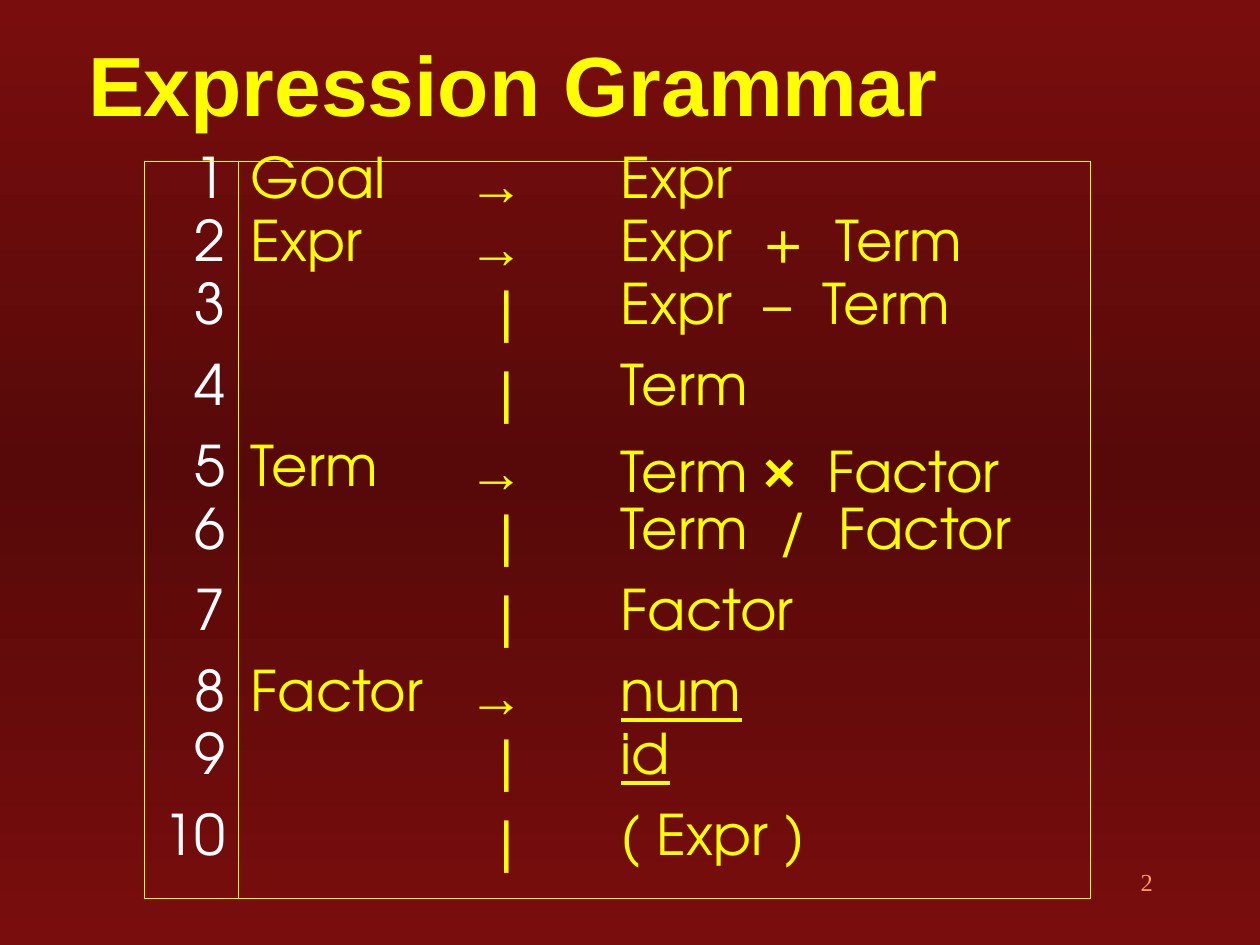
import copy
from dataclasses import dataclass

import pptx
import pptx.oxml.ns
import pptx.util
from lxml import etree
from pptx.dml.color import RGBColor
from pptx.enum.text import MSO_ANCHOR, MSO_AUTO_SIZE, PP_ALIGN

Cm, Pt, qn = pptx.util.Cm, pptx.util.Pt, pptx.oxml.ns.qn

YELLOW = RGBColor(0xFF, 0xFF, 0x00)
WHITE = RGBColor(0xFF, 0xFF, 0xFF)
ORANGE = RGBColor(0xFF, 0x99, 0x66)
PALE_BLUE = RGBColor(0xCC, 0xDD, 0xFF)
RED = RGBColor(0x79, 0x0D, 0x0D)
DARK_RED = RGBColor(0x57, 0x09, 0x09)

ARIAL, ADVENTOR, TIMES = "Arial", "TeX Gyre Adventor", "Times New Roman"
NO_GRID_STYLE = "{2D5ABB26-0587-4C30-8999-92F81FD0307C}"
COLUMN_WIDTHS = (1.9, 4.39, 3.07, 9.73)
BAR_INDENT = 0.63
NAMED_ROW, SHORT_ROW, TALL_ROW = 1.27, 1.27, 1.63


@dataclass(frozen=True)
class Run:
    text: str
    font: str = ADVENTOR
    color: RGBColor = YELLOW
    size: float = 32
    bold: bool = False
    underline: bool = False


@dataclass(frozen=True)
class Rule:
    """One production; without a name it is an alternative of the one above."""
    name: str
    right: tuple[Run, ...]
    height: float = TALL_ROW


RULES = (
    Rule("Goal", (Run("Expr"),), NAMED_ROW),
    Rule("Expr", (Run("Expr  +  Term"),), NAMED_ROW),
    Rule("", (Run("Expr  –  Term"),)),
    Rule("", (Run("Term"),)),
    Rule("Term", (Run("Term "), Run("×", ARIAL, bold=True), Run("  Factor")), NAMED_ROW),
    Rule("", (Run("Term  ∕  Factor"),)),
    Rule("", (Run("Factor"),)),
    Rule("Factor", (Run("num", underline=True),), NAMED_ROW),
    Rule("", (Run("id", underline=True),)),
    Rule("", (Run("( Expr )"),)),
)


def add_run(p, run: Run):
    r = p.add_run()
    r.text = run.text
    r.font.name = run.font
    r.font.size = Pt(run.size)
    r.font.bold = run.bold
    r.font.underline = run.underline
    r.font.color.rgb = run.color
    return r


def add_text_shadow(r) -> None:
    effects = etree.Element(qn("a:effectLst"))
    shadow = etree.SubElement(effects, qn("a:outerShdw"), dist="17961", dir="2700000")
    etree.SubElement(shadow, qn("a:srgbClr"), val=str(PALE_BLUE))
    r.font.fill._xPr.find(qn("a:solidFill")).addnext(effects)


def set_background(s) -> None:
    fill = s.background.fill
    fill.gradient()
    fill.gradient_angle = 90
    stops = next(s.element.iter(qn("a:gsLst")))
    stops.insert(1, copy.deepcopy(stops[0]))
    for stop, color, position in zip(fill.gradient_stops, (RED, DARK_RED, RED), (0, 0.5, 1)):
        stop.color.rgb = color
        stop.position = position


def set_borders(cell, sides: str) -> None:
    """Draw the sides named by the letters L, R, T and B; hide the others."""
    tc_pr = cell._tc.get_or_add_tcPr()
    for side in "LRTB":
        line = etree.SubElement(tc_pr, qn(f"a:ln{side}"), w=str(Pt(0.45)))
        if side in sides:
            solid = etree.SubElement(line, qn("a:solidFill"))
            etree.SubElement(solid, qn("a:srgbClr"), val=str(YELLOW))
        else:
            etree.SubElement(line, qn("a:noFill"))
    cell.fill.background()


def fill_cell(cell, runs: tuple[Run, ...], align=PP_ALIGN.LEFT) -> None:
    p = cell.text_frame.paragraphs[0]
    p.alignment = align
    p.line_spacing = 0.75
    for run in runs:
        add_run(p, run)


def add_grammar(s) -> None:
    frame = s.shapes.add_table(len(RULES), len(COLUMN_WIDTHS), Cm(2.9), Cm(3.25),
                               Cm(sum(COLUMN_WIDTHS)), Cm(sum(r.height for r in RULES)))
    table = frame.table
    table.first_row = table.horz_banding = False
    next(frame._element.iter(qn("a:tableStyleId"))).text = NO_GRID_STYLE
    for column, width in zip(table.columns, COLUMN_WIDTHS):
        column.width = Cm(width)

    column_sides = ("LR", "L", "", "R")
    for i, rule in enumerate(RULES):
        table.rows[i].height = Cm(rule.height)
        row_side = {0: "T", len(RULES) - 1: "B"}.get(i, "")
        number, name, symbol, right = cells = [table.cell(i, j) for j in range(4)]
        for cell, sides in zip(cells, column_sides):
            set_borders(cell, sides + row_side)
        fill_cell(number, (Run(str(i + 1), color=WHITE),), PP_ALIGN.RIGHT)
        if rule.name:
            fill_cell(name, (Run(rule.name),))
            fill_cell(symbol, (Run("→", ARIAL, bold=True),))
        else:
            symbol.margin_left = Cm(0.25 + BAR_INDENT)
            fill_cell(symbol, (Run("|", ARIAL),))
        fill_cell(right, rule.right)


def add_title(s) -> None:
    sp = s.shapes.title
    sp.left, sp.top, sp.width, sp.height = Cm(1.52), Cm(0.61), Cm(25.4), Cm(2.11)
    tf = sp.text_frame
    tf.auto_size = MSO_AUTO_SIZE.NONE
    tf.vertical_anchor = MSO_ANCHOR.MIDDLE
    p = tf.paragraphs[0]
    p.alignment = PP_ALIGN.LEFT
    add_text_shadow(add_run(p, Run("Expression Grammar", ARIAL, size=48, bold=True)))


def add_page_number(s) -> None:
    tf = s.shapes.add_textbox(Cm(18.21), Cm(17.35), Cm(5.28), Cm(1.27)).text_frame
    tf.word_wrap = True
    p = tf.paragraphs[0]
    p.alignment = PP_ALIGN.RIGHT
    add_run(p, Run("2", TIMES, ORANGE, 14))


def main() -> None:
    prs = pptx.Presentation()
    prs.slide_width, prs.slide_height = Cm(25.4), Cm(19.05)
    s = prs.slides.add_slide(prs.slide_layouts[5])
    set_background(s)
    add_title(s)
    add_grammar(s)
    add_page_number(s)
    prs.save("out.pptx")


if __name__ == "__main__":
    main()
